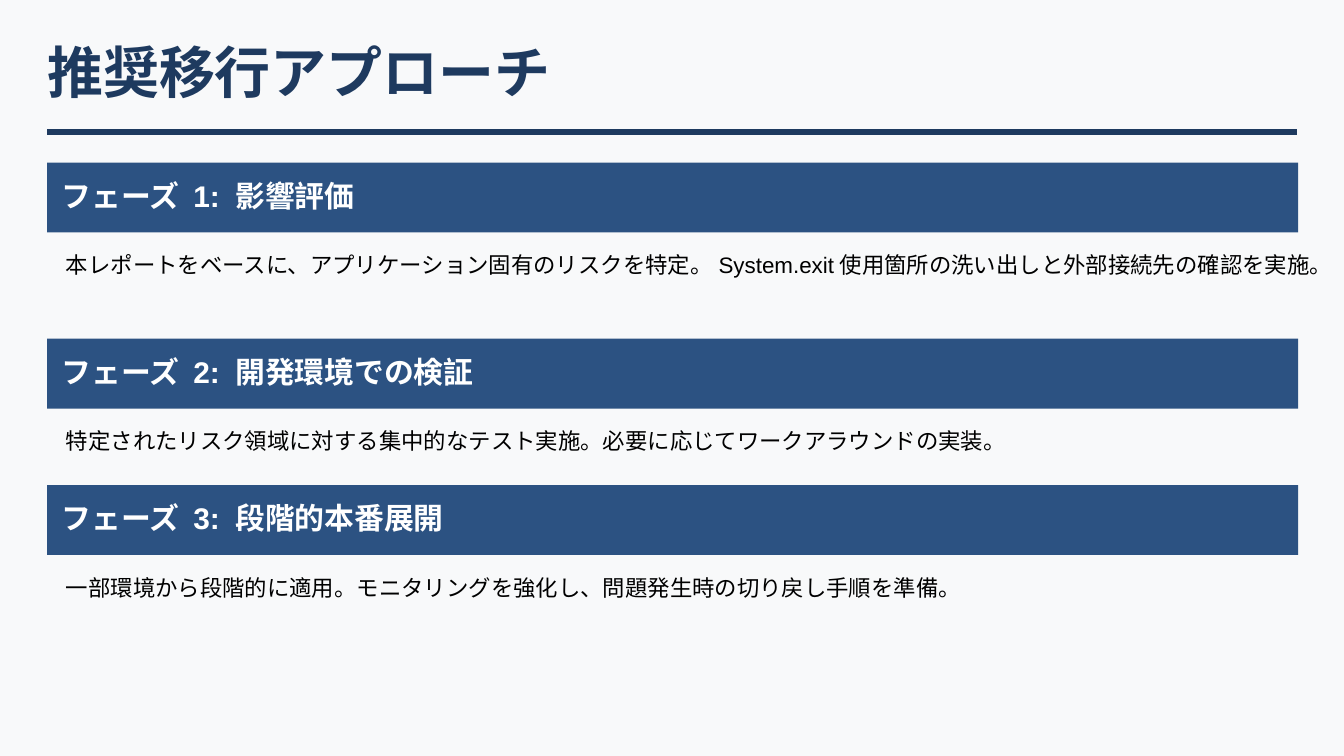
from dataclasses import dataclass

import pptx
import pptx.dml.color
import pptx.enum.shapes
import pptx.enum.text
import pptx.oxml
import pptx.slide
import pptx.util
from pptx.util import Inches

NAVY = pptx.dml.color.RGBColor(0x1E, 0x3A, 0x5F)
BLUE = pptx.dml.color.RGBColor(0x2C, 0x52, 0x82)
WHITE = pptx.dml.color.RGBColor(0xFF, 0xFF, 0xFF)
BLACK = pptx.dml.color.RGBColor(0x00, 0x00, 0x00)
PAPER = pptx.dml.color.RGBColor(0xF8, 0xF9, 0xFA)

SLIDE_WIDTH = 10
MARGIN = 0.35
FIRST_PHASE_TOP = 1.21
DETAIL_OFFSET = 0.66
PHASE_GAP = 0.21


@dataclass(frozen=True)
class Phase:
    heading: str
    detail: str
    detail_height: float
    space_after: int


@dataclass(frozen=True)
class TextStyle:
    size: int
    color: pptx.dml.color.RGBColor
    bold: bool = False


TITLE = TextStyle(30, NAVY, True)
HEADING = TextStyle(16, WHITE, True)
DETAIL = TextStyle(12, BLACK)

PHASES = [
    Phase(
        "フェーズ 1: 影響評価",
        "本レポートをベースに、アプリケーション固有のリスクを特定。"
        "System.exit使用箇所の洗い出しと外部接続先の確認を実施。",
        0.44,
        15,
    ),
    Phase(
        "フェーズ 2: 開発環境での検証",
        "特定されたリスク領域に対する集中的なテスト実施。"
        "必要に応じてワークアラウンドの実装。",
        0.22,
        15,
    ),
    Phase(
        "フェーズ 3: 段階的本番展開",
        "一部環境から段階的に適用。"
        "モニタリングを強化し、問題発生時の切り戻し手順を準備。",
        0.22,
        10,
    ),
]


def add_text(slide: pptx.slide.Slide, text: str, left: float, top: float,
             width: float, height: float, style: TextStyle,
             space_after: int = 0) -> None:
    box = slide.shapes.add_textbox(
        Inches(left), Inches(top), Inches(width), Inches(height))
    frame = box.text_frame
    frame.word_wrap = True
    frame.vertical_anchor = pptx.enum.text.MSO_ANCHOR.TOP
    frame.margin_left = frame.margin_right = Inches(0)
    frame.margin_top = frame.margin_bottom = Inches(0)
    paragraph = frame.paragraphs[0]
    paragraph.space_after = pptx.util.Pt(space_after)
    run = paragraph.add_run()
    run.text = text
    run.font.name = "Arial"
    run.font.size = pptx.util.Pt(style.size)
    run.font.bold = style.bold
    run.font.color.rgb = style.color


def add_title(slide: pptx.slide.Slide, title: str) -> None:
    rule = slide.shapes.add_connector(
        pptx.enum.shapes.MSO_CONNECTOR.STRAIGHT,
        Inches(MARGIN), Inches(0.98),
        Inches(SLIDE_WIDTH - MARGIN), Inches(0.98))
    rule.line.color.rgb = NAVY
    rule.line.width = pptx.util.Pt(3)
    rule._element.spPr.append(pptx.oxml.parse_xml(
        '<a:effectLst xmlns:a='
        '"http://schemas.openxmlformats.org/drawingml/2006/main"/>'))
    add_text(slide, title, MARGIN, 0.28, 9.49, 0.57, TITLE)


def add_phase(slide: pptx.slide.Slide, phase: Phase, top: float) -> float:
    bar = slide.shapes.add_shape(
        pptx.enum.shapes.MSO_SHAPE.RECTANGLE,
        Inches(MARGIN), Inches(top), Inches(9.31), Inches(0.52))
    bar.shadow.inherit = False
    bar.fill.solid()
    bar.fill.fore_color.rgb = BLUE
    bar.line.fill.background()
    add_text(slide, phase.heading, 0.46, top + 0.11, 9.27, 0.3, HEADING)
    add_text(slide, phase.detail, 0.49, top + DETAIL_OFFSET, 9.35,
             phase.detail_height, DETAIL, phase.space_after)
    return top + DETAIL_OFFSET + phase.detail_height + PHASE_GAP


def main() -> None:
    """Build the recommended migration approach slide."""
    deck = pptx.Presentation()
    deck.slide_width = Inches(SLIDE_WIDTH)
    deck.slide_height = Inches(SLIDE_WIDTH * 9 / 16)
    slide = deck.slides.add_slide(deck.slide_layouts[6])
    slide.background.fill.solid()
    slide.background.fill.fore_color.rgb = PAPER
    add_title(slide, "推奨移行アプローチ")
    top = FIRST_PHASE_TOP
    for phase in PHASES:
        top = add_phase(slide, phase, top)
    deck.save("out.pptx")


if __name__ == "__main__":
    main()
